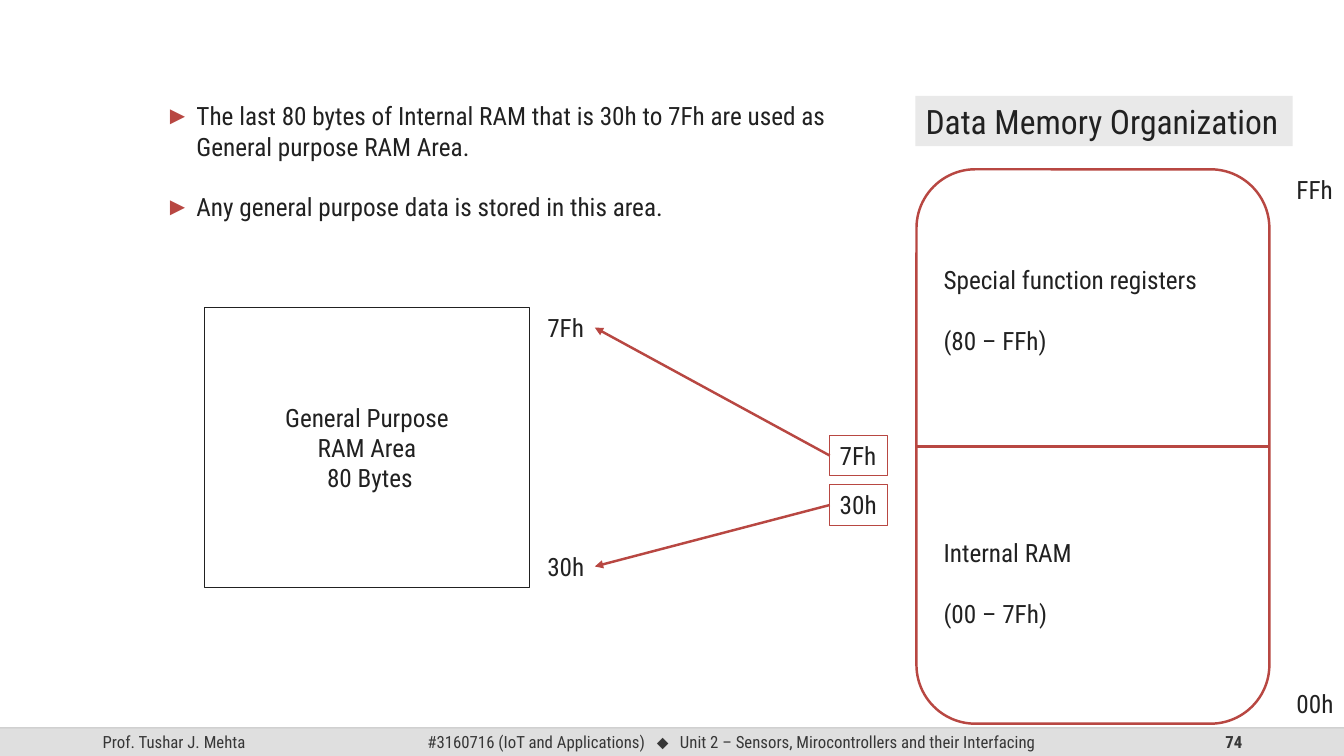
from dataclasses import dataclass

from lxml import etree
from pptx import Presentation
from pptx import util as u
from pptx.dml.color import RGBColor
from pptx.enum import shapes, text
from pptx.oxml.ns import qn

COLORS = {
    "ink": "212121", "accent": "B84742", "white": "FFFFFF", "title_fill": "E9E9E9",
    "footer_fill": "DFDFDF", "footer_text": "373737", "footer_line": "BFBFBF",
}
FONT = "Roboto Condensed"
LINE = 21.7  # height of one 18 pt text line, in points
LEFT, CENTER, RIGHT = text.PP_ALIGN.LEFT, text.PP_ALIGN.CENTER, text.PP_ALIGN.RIGHT
TOP, MIDDLE = text.MSO_ANCHOR.TOP, text.MSO_ANCHOR.MIDDLE


@dataclass
class Box:
    left: float
    top: float
    width: float
    height: float
    lines: tuple[str, ...] = ()
    gaps: tuple[float, ...] = ()  # space before each line after the first, in text lines
    size: float = 18
    color: str = "ink"
    bold: bool = False
    align: int = LEFT
    anchor: int = TOP
    wrap: bool = True
    bullet: str = ""
    geometry: int = shapes.MSO_SHAPE.RECTANGLE
    fill: str = ""
    line: str = ""
    line_width: float = 1

    def bounds(self) -> list[int]:
        return [u.Inches(v) for v in (self.left, self.top, self.width, self.height)]


def rgb(name: str) -> RGBColor:
    return RGBColor.from_string(COLORS[name])


def add_bullet(paragraph, character: str) -> None:
    properties = paragraph._p.get_or_add_pPr()
    properties.set("marL", str(u.Inches(0.31)))
    properties.set("indent", str(-u.Inches(0.31)))
    color = etree.SubElement(properties, qn("a:buClr"))
    etree.SubElement(color, qn("a:srgbClr"), val=COLORS["accent"])
    etree.SubElement(properties, qn("a:buFont"), typeface="Arial")
    etree.SubElement(properties, qn("a:buChar"), char=character)


def write_text(shape, box: Box) -> None:
    frame = shape.text_frame
    frame.word_wrap = box.wrap
    frame.auto_size = text.MSO_AUTO_SIZE.NONE
    frame.vertical_anchor = box.anchor
    for index, content in enumerate(box.lines):
        paragraph = frame.add_paragraph() if index else frame.paragraphs[0]
        paragraph.text = content
        paragraph.alignment = box.align
        if index and box.gaps:
            paragraph.space_before = u.Pt(box.gaps[index - 1] * LINE)
        if box.bullet:
            add_bullet(paragraph, box.bullet)
        paragraph.font.name = FONT
        paragraph.font.size = u.Pt(box.size)
        paragraph.font.bold = box.bold
        paragraph.font.color.rgb = rgb(box.color)


def add_box(slide, box: Box):
    if box.fill or box.line:
        shape = slide.shapes.add_shape(box.geometry, *box.bounds())
        shape.shadow.inherit = False
        if box.fill:
            shape.fill.solid()
            shape.fill.fore_color.rgb = rgb(box.fill)
        else:
            shape.fill.background()
        if box.line:
            shape.line.color.rgb = rgb(box.line)
            shape.line.width = u.Pt(box.line_width)
        else:
            shape.line.fill.background()
    else:
        shape = slide.shapes.add_textbox(*box.bounds())
    write_text(shape, box)
    return shape


def add_line(slide, color: str, width: float, start=None, end=None, y: float = 0,
             arrow: bool = False, opacity: int = 100):
    """Join the left side of start to the right side of end, or span the slide at y."""
    connector = slide.shapes.add_connector(
        shapes.MSO_CONNECTOR.STRAIGHT, 0, u.Inches(y), u.Inches(13.33), u.Inches(y))
    if start is not None and end is not None:
        connector.begin_connect(start, 1)
        connector.end_connect(end, 3)
    connector.line.color.rgb = rgb(color)
    connector.line.width = u.Pt(width)
    outline = connector.line._get_or_add_ln()
    if opacity < 100:
        etree.SubElement(outline.find(".//" + qn("a:srgbClr")), qn("a:alpha"),
                         val=str(opacity * 1000))
    if arrow:
        etree.SubElement(outline, qn("a:tailEnd"), type="triangle")
    etree.SubElement(connector._element.spPr, qn("a:effectLst"))
    return connector


def add_footer(slide) -> None:
    top, height = 7.22, 0.28
    style = dict(size=12, color="footer_text", anchor=MIDDLE)
    add_box(slide, Box(0, top, 13.33, height, fill="footer_fill"))
    add_line(slide, "footer_line", 1, y=top, opacity=70)
    add_box(slide, Box(0.92, top, 3, height, ("Prof. Tushar J. Mehta",), **style))
    add_box(slide, Box(9.42, top, 3, height, ("74",), bold=True, align=RIGHT, **style))
    course = add_box(slide, Box(4.11, top, 6.29, height, ("",), align=CENTER, **style))
    # Widened single spaces set the diamond apart
    for content, font, spacing in (
        ("#3160716 (IoT and Applications)", FONT, 0), (" ", FONT, 5.4),
        ("⬥", "Arial", 0), (" ", FONT, 5.4),
        ("Unit 2 – Sensors, Mirocontrollers and their Interfacing", FONT, 0),
    ):
        run = course.text_frame.paragraphs[0].add_run()
        run.text = content
        run.font.name = font
        if spacing:
            run._r.get_or_add_rPr().set("spc", str(round(spacing * 100)))


def add_title(slide) -> None:
    box = Box(9.08, 0.95, 3.74, 0.5, ("Data Memory Organization",), size=24)
    title = slide.shapes.title
    title.left, title.top, title.width, title.height = box.bounds()
    title.fill.solid()
    title.fill.fore_color.rgb = rgb("title_fill")
    write_text(title, box)


def add_address(slide, left: float, top: float, label: str, line: str = ""):
    return add_box(slide, Box(left, top, 0.57, 0.4, (label,), wrap=False,
                              line=line, line_width=0.75))


def main() -> None:
    presentation = Presentation()
    presentation.slide_width = u.Inches(13.33)
    presentation.slide_height = u.Inches(7.5)
    slide = presentation.slides.add_slide(presentation.slide_layouts[5])

    add_footer(slide)
    add_title(slide)

    # Explanation
    add_box(slide, Box(1.54, 0.95, 6.98, 1.31, (
        "The last 80 bytes of Internal RAM that is 30h to 7Fh are used as "
        "General purpose RAM Area.",
        "Any general purpose data is stored in this area.",
    ), gaps=(1,), bullet="►"))

    # Whole data memory, split into two halves
    memory = add_box(slide, Box(
        9.09, 1.68, 3.5, 5.5,
        ("Special function registers", "(80 – FFh)", "Internal RAM", "(00 – 7Fh)"),
        gaps=(1, 6, 1), anchor=MIDDLE, geometry=shapes.MSO_SHAPE.ROUNDED_RECTANGLE,
        fill="white", line="accent", line_width=1.75))
    add_line(slide, "accent", 1.5, memory, memory)
    for label, top in (("FFh", 1.68), ("00h", 6.78)):
        add_address(slide, 12.76, top, label)

    # General purpose area
    add_box(slide, Box(2.03, 3.05, 3.22, 2.78,
                       ("General Purpose", "RAM Area", " 80 Bytes"),
                       align=CENTER, anchor=MIDDLE, fill="white", line="ink"))

    # Limits of the area, linked to their place in memory
    for label, area_top, memory_top in (("7Fh", 3.05, 4.32), ("30h", 5.42, 4.81)):
        area_limit = add_address(slide, 5.33, area_top, label)
        memory_limit = add_address(slide, 8.23, memory_top, label, line="accent")
        add_line(slide, "accent", 1.75, memory_limit, area_limit, arrow=True)

    presentation.save("out.pptx")


if __name__ == "__main__":
    main()
